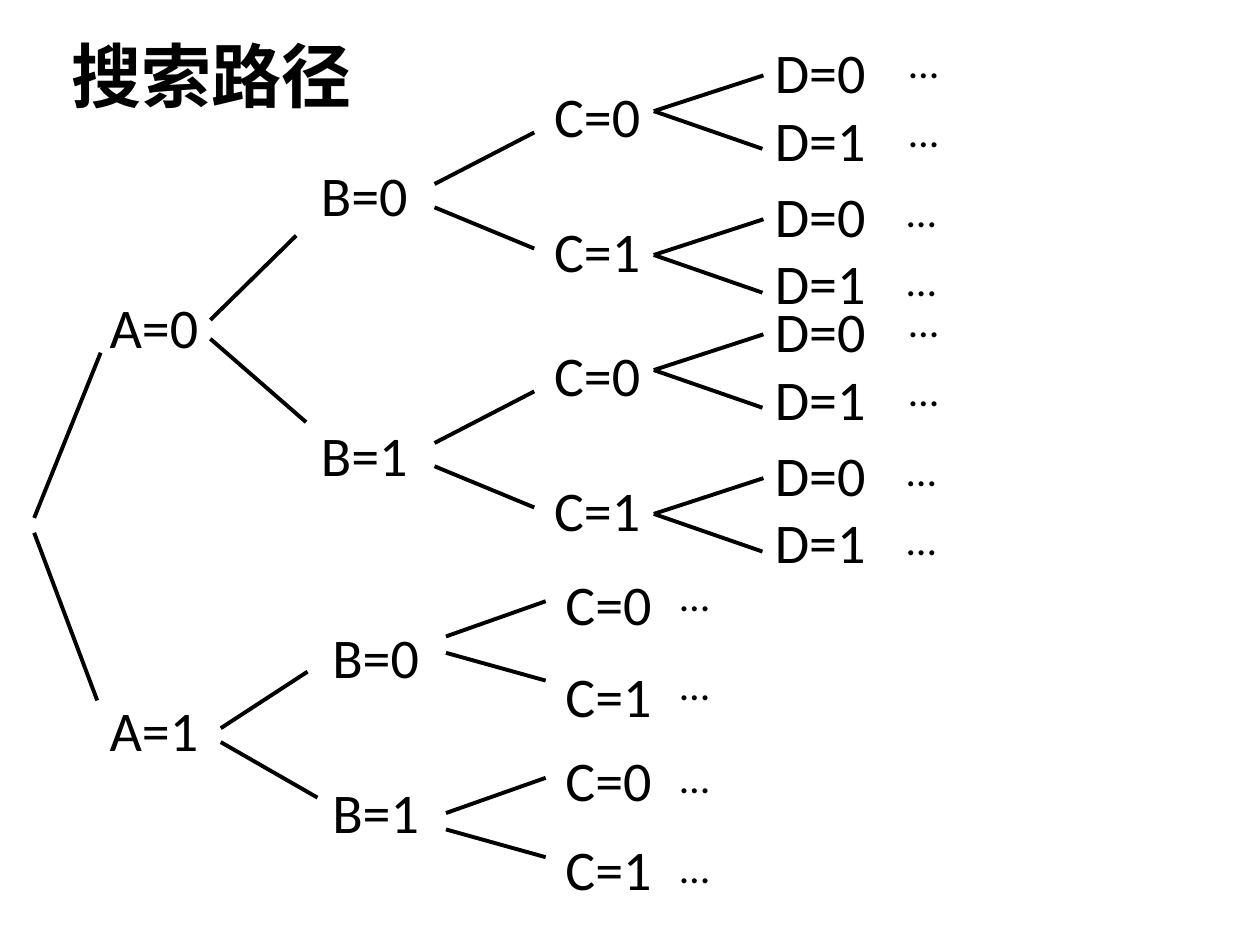
from pptx import Presentation
from pptx.dml.color import RGBColor
from pptx.enum.shapes import MSO_CONNECTOR as Connector
from pptx.enum.text import MSO_ANCHOR as Anchor, MSO_AUTO_SIZE as AutoSize
from pptx.oxml.ns import qn
from pptx.util import Cm, Pt
from lxml.etree import SubElement

COLORS = {"text": "000000", "line": "000000", "background": "FFFFFF"}


class TreeSlide:
    """Holds the style and the slide that is being built."""

    font_name = "Calibri"
    line_width = Pt(2.25)

    def __init__(self, presentation):
        self.slide = presentation.slides.add_slide(presentation.slide_layouts[6])
        fill = self.slide.background.fill
        fill.solid()
        fill.fore_color.rgb = RGBColor.from_string(COLORS["background"])

    def text(self, lines, left, top, width, height, size=32, gap=0,
             frame_format=None, **font_format):
        shape = self.slide.shapes.add_textbox(Cm(left), Cm(top), Cm(width), Cm(height))
        frame = shape.text_frame
        frame_values = {"word_wrap": False, "auto_size": AutoSize.SHAPE_TO_FIT_TEXT,
                        "vertical_anchor": Anchor.TOP, **(frame_format or {})}
        for name, value in frame_values.items():
            setattr(frame, name, value)
        font_values = {"name": self.font_name, "size": Pt(size), **font_format}
        for index, line in enumerate(lines):
            paragraph = frame.add_paragraph() if index else frame.paragraphs[0]
            if index:
                paragraph.space_before = Pt(gap)
            run = paragraph.add_run()
            run.text = line
            for name, value in font_values.items():
                setattr(run.font, name, value)
            run.font.color.rgb = RGBColor.from_string(COLORS["text"])
        return frame

    def title(self, words):
        frame = self.text([words], 1.19, 0.08, 23.01, 2.41, size=40, bold=True,
                          frame_format={"word_wrap": True, "auto_size": AutoSize.NONE,
                                        "vertical_anchor": Anchor.BOTTOM})
        frame.paragraphs[0].line_spacing = 0.9

    def choices(self, variable, left, top, width, height, gap=0):
        """Both values of one variable, one above the other."""
        self.text([f"{variable}={value}" for value in (0, 1)],
                  left, top, width, height, gap=gap)

    def ellipses(self, left, top, step):
        for index in range(2):
            self.text(["…"], left, top + index * step, 1.09, 1.27, size=24)

    def branch(self, x1, y1, x2, y2):
        connector = self.slide.shapes.add_connector(
            Connector.STRAIGHT, Cm(x1), Cm(y1), Cm(x2), Cm(y2))
        connector.line.width = self.line_width
        connector.line.color.rgb = RGBColor.from_string(COLORS["line"])
        SubElement(connector._element.spPr, qn("a:effectLst"))

    def fork(self, x, starts, ends):
        """Two branches that leave the same x."""
        for start, (end_x, end_y) in zip(starts, ends):
            self.branch(x, start, end_x, end_y)


def main():
    presentation = Presentation()
    presentation.slide_width, presentation.slide_height = Cm(25.4), Cm(19.05)
    tree = TreeSlide(presentation)
    tree.title("搜索路径")

    # Root and variable A
    tree.fork(0.69, (10.44, 10.74), ((2.03, 7.11), (1.96, 14.12)))
    tree.choices("A", 1.96, 5.77, 2.31, 9.83, gap=192)

    # Variable B below A=0 and below A=1
    tree.fork(4.24, (6.45, 6.83), ((5.97, 4.75), (6.17, 8.51)))
    tree.choices("B", 6.22, 3.12, 2.26, 7.09, gap=110)
    tree.fork(4.45, (14.68, 14.96), ((6.2, 13.54), (6.4, 16.08)))
    tree.choices("B", 6.45, 12.42, 2.26, 4.78, gap=50.5)

    # Upper half: variables C and D, once for each value of B
    for subtree in range(2):
        y = subtree * 5.22
        tree.fork(8.76, (y + 3.71, y + 4.18), ((10.77, y + 2.67), (10.77, y + 5.01)))
        tree.choices("C", 10.92, y + 1.52, 2.26, 4.37, gap=38.5)
        for index in range(2):
            top = y + index * 2.9
            tree.fork(13.18, (top + 2.24,) * 2, ((15.39, top + 1.52), (15.37, top + 3)))
            tree.choices("D", 15.37, top + 0.64, 2.36, 3)
            tree.ellipses(18.08 - index * 0.05, y + 0.61 + index * 3, step=1.4)

    # Lower half: variable C, once for each value of B
    for index, gap in enumerate((14.5, 12.5)):
        y = index * 3.56
        tree.fork(8.99, (y + 12.83, y + 13.16), ((11, y + 12.12), (11, y + 13.72)))
        tree.choices("C", 11.15, y + 11.35, 2.26, 3.51, gap=gap)
        tree.ellipses(13.46, 11.35 + index * 3.68, step=1.8)

    presentation.save("out.pptx")


if __name__ == "__main__":
    main()
